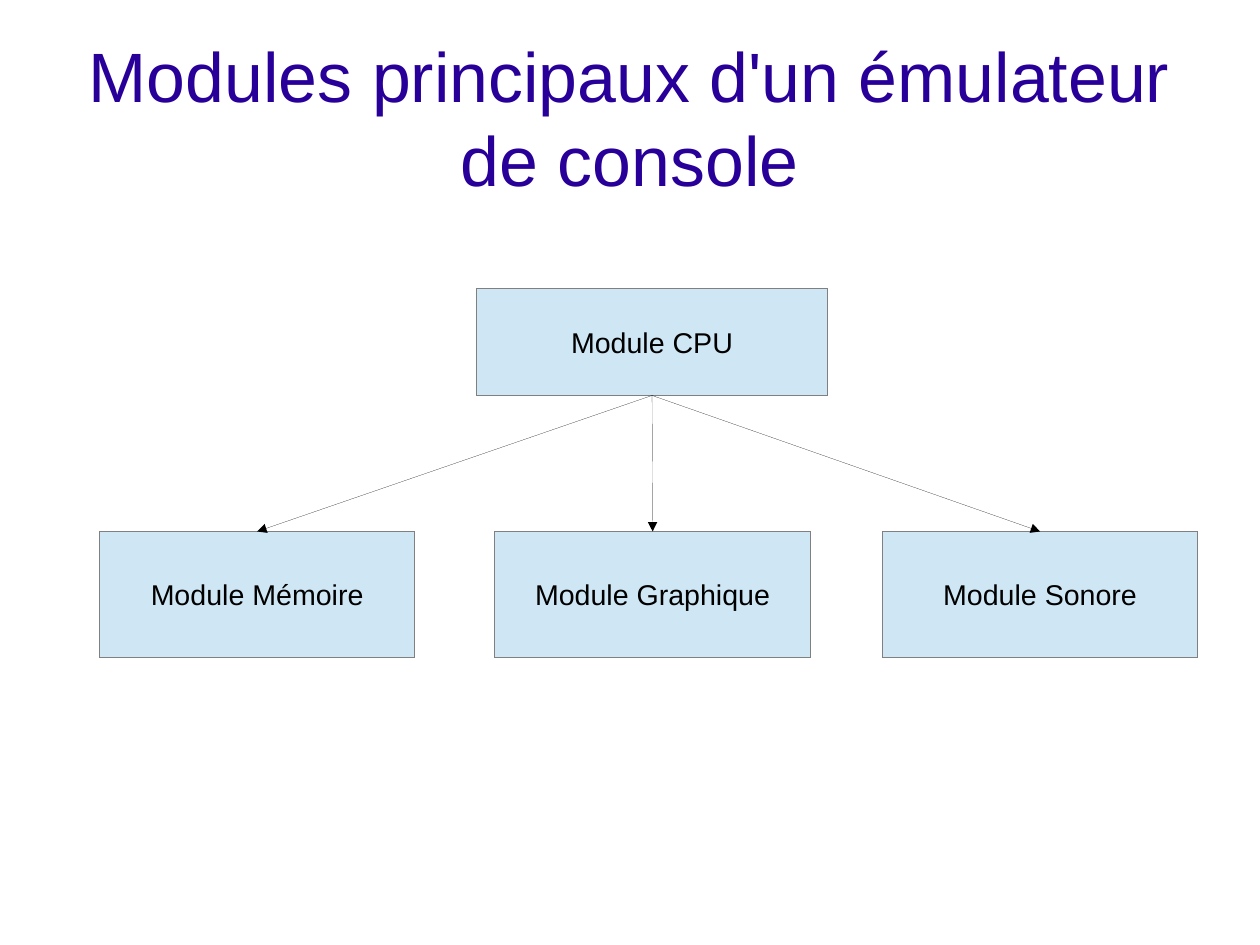
from lxml import etree
from pptx import Presentation
from pptx.dml.color import RGBColor
from pptx.enum import shapes as kinds, text as txt
from pptx.oxml import ns
from pptx.util import Inches, Pt

INDIGO = RGBColor(0x28, 0x00, 0x99)
PALE = RGBColor(0xCF, 0xE7, 0xF5)
GREY = RGBColor(0x80, 0x80, 0x80)
BLACK = RGBColor(0, 0, 0)
HAIR = Pt(0.01)
CM = 1 / 2.54


def write(frame, lines, size, color, **form):
    """Fill a text frame with one centred paragraph."""
    form = {"vertical_anchor": txt.MSO_ANCHOR.MIDDLE, **form}
    for name, value in form.items():
        setattr(frame, name, value)
    para = frame.paragraphs[0]
    para.alignment = txt.PP_ALIGN.CENTER
    for i, line in enumerate(lines):
        if i:
            para.add_line_break()
        run = para.add_run()
        run.text = line
        for name, value in {"name": "Arial", "size": Pt(size)}.items():
            setattr(run.font, name, value)
        run.font.color.rgb = color


def add_title(slide, box, lines):
    area = slide.shapes.add_textbox(*map(Inches, box))
    edges = ("left", "top", "right", "bottom")
    write(area.text_frame, lines, 44, INDIGO, word_wrap=True,
          **{f"margin_{edge}": 0 for edge in edges})


def add_module(slide, box, label):
    rect = slide.shapes.add_shape(
        kinds.MSO_SHAPE.RECTANGLE, *map(Inches, box))
    rect.shadow.inherit = False
    rect.fill.solid()
    rect.fill.fore_color.rgb = PALE
    rect.line.color.rgb = GREY
    rect.line.width = HAIR
    write(rect.text_frame, [label], 18, BLACK, word_wrap=False)
    return rect


def add_arrow(slide, start, end):
    """Join the bottom of one module to the top of another."""
    arrow = slide.shapes.add_connector(
        kinds.MSO_CONNECTOR.STRAIGHT, 0, 0, 0, 0)
    arrow.begin_connect(start, 2)
    arrow.end_connect(end, 0)
    arrow.line.color.rgb = BLACK
    arrow.line.width = HAIR
    props = arrow._element.spPr
    etree.SubElement(props.find(ns.qn("a:ln")), ns.qn("a:tailEnd"),
                     type="triangle")
    etree.SubElement(props, ns.qn("a:effectLst"))


def add_tree(slide, box, root, leaves):
    """Place the root module above its leaves, with arrows between them."""
    left, top, width, height = box
    wide, tall = 2.76, 1.1
    head = add_module(slide, (left + 3.3, top, 3.07, 0.94), root)
    shifts = (0, 3.46, width - wide)
    parts = [add_module(slide, (left + shift, top + height - tall, wide, tall),
                        label)
             for label, shift in zip(leaves, shifts)]
    for part in parts:
        add_arrow(slide, head, part)


def main():
    deck = Presentation()
    deck.slide_width = Inches(28 * CM)
    deck.slide_height = Inches(21 * CM)
    slide = deck.slides.add_slide(deck.slide_layouts[6])
    add_title(slide, (0.55, -0.23, 9.92, 2.5),
              ["Modules principaux d'un émulateur", "de console"])
    add_tree(slide, (0.87, 2.52, 9.61, 3.23), "Module CPU",
             ["Module Mémoire", "Module Graphique", "Module Sonore"])
    deck.save("out.pptx")


if __name__ == "__main__":
    main()
